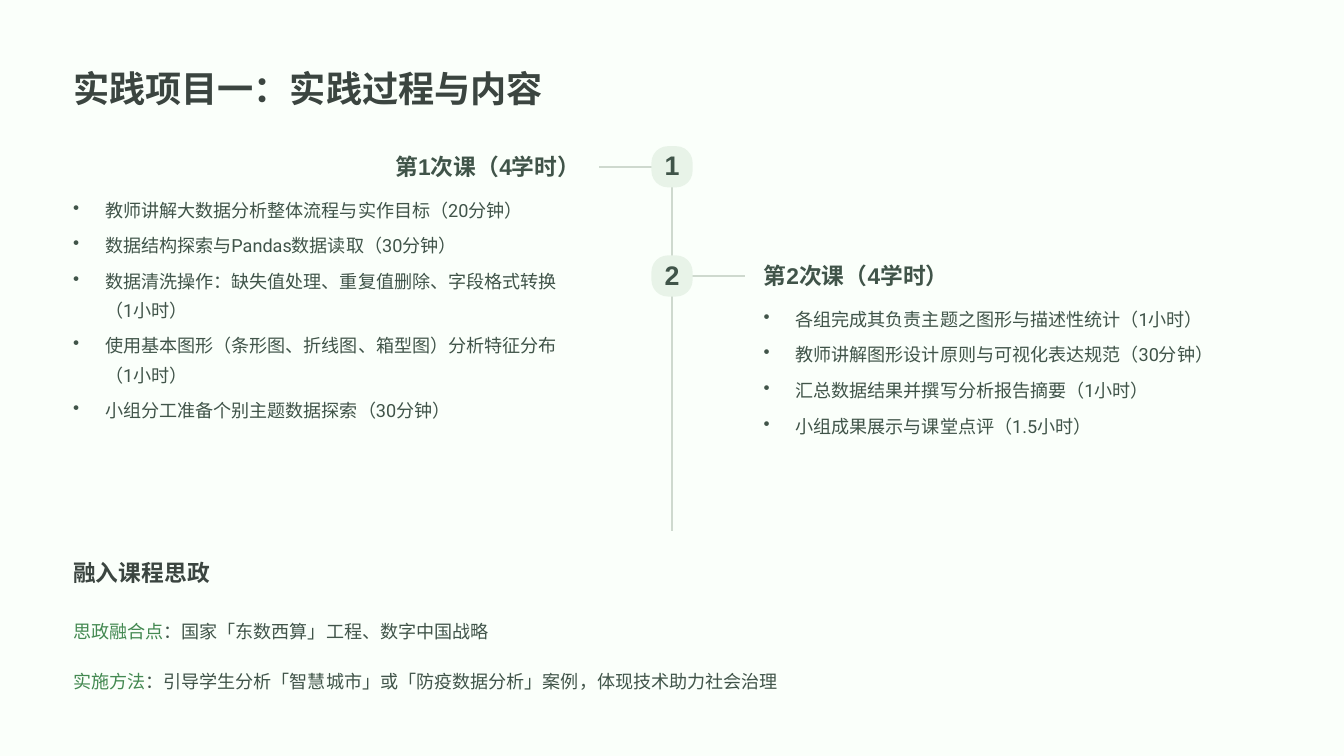
from lxml import etree
from pptx import Presentation
from pptx import util as u
from pptx.dml.color import RGBColor
from pptx.enum import shapes, text
from pptx.oxml import ns

BACKGROUND = RGBColor(0xFA, 0xFF, 0xFA)
TITLE = RGBColor(0x3B, 0x45, 0x40)
BODY = RGBColor(0x40, 0x54, 0x49)
ACCENT = RGBColor(0x43, 0x89, 0x51)
LINE = RGBColor(0xCE, 0xD9, 0xCE)
BADGE = RGBColor(0xE8, 0xF3, 0xE8)

LEFT = 0.87
RIGHT = 9.09
AXIS = 8.0
BADGE_SIZE = 0.49

LESSONS = [
    {
        "number": "1", "top": 1.74, "left": LEFT, "side": -1,
        "heading": "第1次课（4学时）", "heading_left": 4.2,
        "align": text.PP_ALIGN.RIGHT, "list_height": 2.74,
        "items": [
            "教师讲解大数据分析整体流程与实作目标（20分钟）",
            "数据结构探索与Pandas数据读取（30分钟）",
            "数据清洗操作：缺失值处理、重复值删除、字段格式转换（1小时）",
            "使用基本图形（条形图、折线图、箱型图）分析特征分布（1小时）",
            "小组分工准备个别主题数据探索（30分钟）",
        ],
    },
    {
        "number": "2", "top": 3.04, "left": RIGHT, "side": 1,
        "heading": "第2次课（4学时）", "heading_left": RIGHT,
        "align": text.PP_ALIGN.LEFT, "list_height": 1.62,
        "items": [
            "各组完成其负责主题之图形与描述性统计（1小时）",
            "教师讲解图形设计原则与可视化表达规范（30分钟）",
            "汇总数据结果并撰写分析报告摘要（1小时）",
            "小组成果展示与课堂点评（1.5小时）",
        ],
    },
]

POLICY_NOTES = [
    (7.3, "思政融合点", "：国家「东数西算」工程、数字中国战略"),
    (7.89, "实施方法", "：引导学生分析「智慧城市」或「防疫数据分析」案例，体现技术助力社会治理"),
]


class SlideBuilder:
    heading_font = "Arial"
    body_font = "Roboto"
    body_size = 15.5
    body_spacing = 25

    def __init__(self, presentation):
        self.slide = presentation.slides.add_slide(presentation.slide_layouts[6])
        fill = self.slide.background.fill
        fill.solid()
        fill.fore_color.rgb = BACKGROUND

    def frame(self, left, top, width, height, wrap=True):
        box = self.slide.shapes.add_textbox(
            u.Inches(left), u.Inches(top), u.Inches(width), u.Inches(height))
        frame = box.text_frame
        frame.margin_left = frame.margin_right = 0
        frame.margin_top = frame.margin_bottom = 0
        frame.word_wrap = wrap
        return frame

    def run(self, paragraph, words, size, color, font, bold=False):
        run = paragraph.add_run()
        run.text = words
        run.font.size = u.Pt(size)
        run.font.name = font
        run.font.bold = bold
        run.font.color.rgb = color

    def heading(self, words, left, top, width, height, size, spacing,
                color=TITLE, align=text.PP_ALIGN.LEFT):
        paragraph = self.frame(left, top, width, height, wrap=False).paragraphs[0]
        paragraph.alignment = align
        paragraph.line_spacing = u.Pt(spacing)
        self.run(paragraph, words, size, color, self.heading_font, bold=True)

    def bullets(self, items, left, top, width, height):
        frame = self.frame(left, top, width, height)
        for index, item in enumerate(items):
            paragraph = frame.add_paragraph() if index else frame.paragraphs[0]
            paragraph.line_spacing = u.Pt(self.body_spacing)
            paragraph.space_after = u.Pt(5.5)
            properties = paragraph._p.get_or_add_pPr()
            properties.set("marL", str(u.Inches(0.38)))
            properties.set("indent", str(-u.Inches(0.38)))
            etree.SubElement(properties, ns.qn("a:buChar")).set("char", "•")
            self.run(paragraph, item, self.body_size, BODY, self.body_font)

    def labelled_text(self, label, words, left, top, width, height):
        paragraph = self.frame(left, top, width, height).paragraphs[0]
        paragraph.line_spacing = u.Pt(self.body_spacing)
        self.run(paragraph, label, self.body_size, ACCENT, self.body_font)
        self.run(paragraph, words, self.body_size, BODY, self.body_font)

    def line(self, x1, y1, x2, y2):
        connector = self.slide.shapes.add_connector(
            shapes.MSO_CONNECTOR.STRAIGHT,
            u.Inches(x1), u.Inches(y1), u.Inches(x2), u.Inches(y2))
        connector.line.color.rgb = LINE
        connector.line.width = u.Pt(2)
        etree.SubElement(connector._element.spPr, ns.qn("a:effectLst"))

    def badge(self, number, center, top):
        shape = self.slide.shapes.add_shape(
            shapes.MSO_SHAPE.ROUNDED_RECTANGLE,
            u.Inches(center - BADGE_SIZE / 2), u.Inches(top),
            u.Inches(BADGE_SIZE), u.Inches(BADGE_SIZE))
        shape.adjustments[0] = 0.4
        shape.shadow.inherit = False
        shape.fill.solid()
        shape.fill.fore_color.rgb = BADGE
        shape.line.fill.background()
        frame = shape.text_frame
        frame.word_wrap = False
        frame.margin_left = frame.margin_right = frame.margin_bottom = 0
        frame.margin_top = u.Inches(0.04)
        frame.vertical_anchor = text.MSO_ANCHOR.TOP
        paragraph = frame.paragraphs[0]
        paragraph.alignment = text.PP_ALIGN.CENTER
        paragraph.line_spacing = u.Pt(23)
        self.run(paragraph, number, 23, BODY, self.heading_font, bold=True)


def main():
    presentation = Presentation()
    presentation.slide_width = u.Inches(16)
    presentation.slide_height = u.Inches(9)
    builder = SlideBuilder(presentation)

    # Title
    builder.heading("实践项目一：实践过程与内容", LEFT, 0.76, 5.64, 0.54, 31, 39)

    # Timeline with one branch per lesson
    builder.line(AXIS, 1.74, AXIS, 6.32)
    for lesson in LESSONS:
        top, side = lesson["top"], lesson["side"]
        middle = top + BADGE_SIZE / 2
        builder.line(AXIS + side * 0.22, middle, AXIS + side * 0.87, middle)
        builder.badge(lesson["number"], AXIS, top)
        builder.heading(lesson["heading"], lesson["heading_left"], top + 0.07,
                        2.71, 0.34, 19.5, 24, BODY, lesson["align"])
        builder.bullets(lesson["items"], lesson["left"], top + 0.54,
                        6.05, lesson["list_height"])

    # Civic education section
    builder.heading("融入课程思政", LEFT, 6.64, 2.71, 0.34, 19.5, 24)
    for top, label, words in POLICY_NOTES:
        builder.labelled_text(label, words, LEFT, top, 14.26, 0.35)

    presentation.save("out.pptx")


if __name__ == "__main__":
    main()
